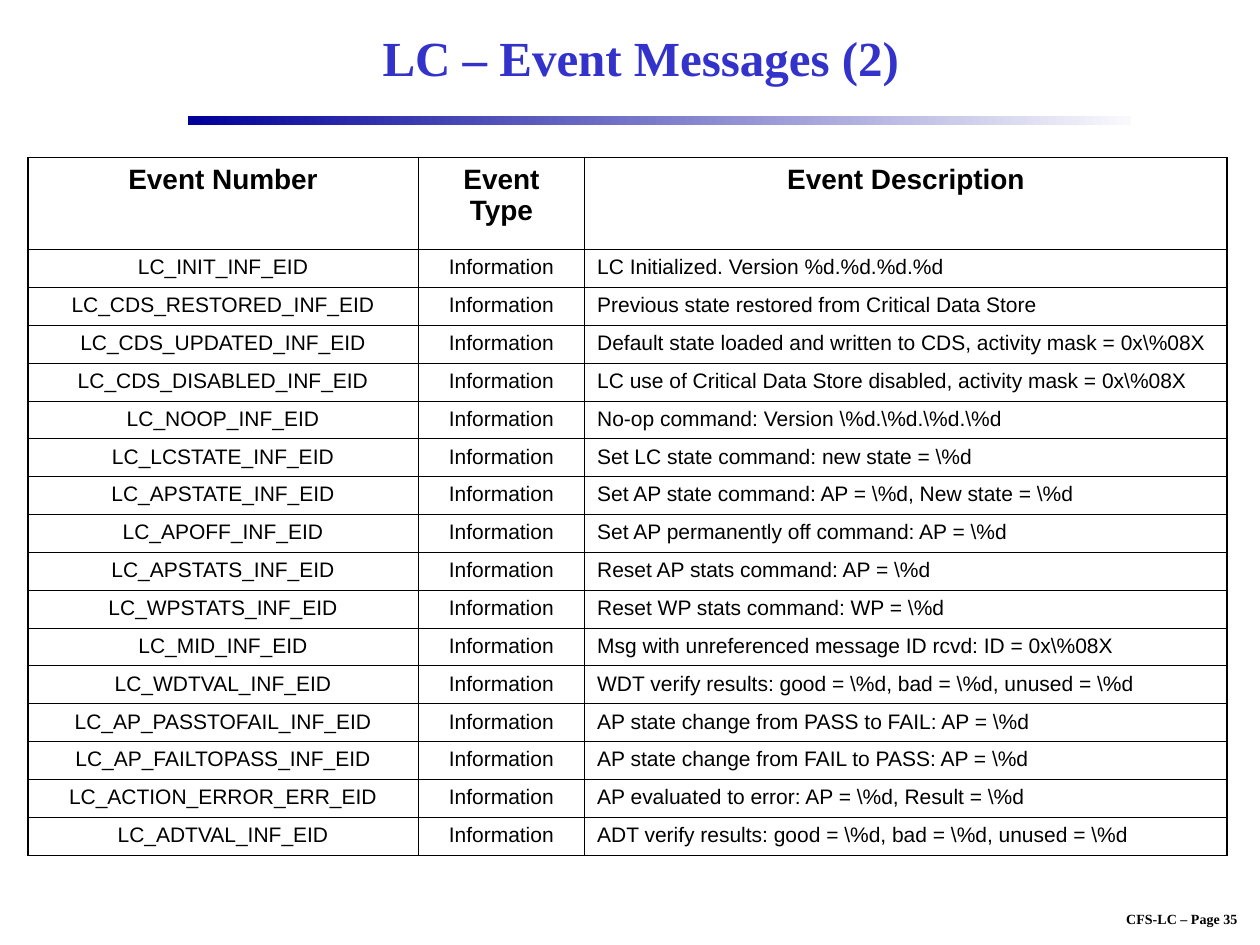
from lxml.etree import SubElement
from pptx import Presentation
from pptx.dml.color import RGBColor
from pptx.enum.shapes import MSO_SHAPE as Shape
from pptx.enum.text import MSO_ANCHOR as Anchor, PP_ALIGN as Align
from pptx.oxml.ns import qn
from pptx.util import Inches, Pt

COLORS = {"title": "3333CC", "text": "000000", "border": "000000",
          "rule_start": "000099", "rule_end": "F9F9FD"}
SERIF, SANS = "Times New Roman", "Arial"
THIN, THICK = 0.45, 1.08  # border widths in points

COLUMN_WIDTHS = [3.1, 1.32, 5.1]
HEADER_HEIGHT, ROW_HEIGHT = 0.73, 0.3
HEADERS = ["Event Number", "Event Type", "Event Description"]
EVENT_TYPE = "Information"
EVENTS = [
    ("LC_INIT_INF_EID", "LC Initialized. Version %d.%d.%d.%d"),
    ("LC_CDS_RESTORED_INF_EID", "Previous state restored from Critical Data Store"),
    ("LC_CDS_UPDATED_INF_EID",
     r"Default state loaded and written to CDS, activity mask = 0x\%08X"),
    ("LC_CDS_DISABLED_INF_EID",
     r"LC use of Critical Data Store disabled, activity mask = 0x\%08X"),
    ("LC_NOOP_INF_EID", r"No-op command: Version \%d.\%d.\%d.\%d"),
    ("LC_LCSTATE_INF_EID", r"Set LC state command: new state = \%d"),
    ("LC_APSTATE_INF_EID", r"Set AP state command: AP = \%d, New state = \%d"),
    ("LC_APOFF_INF_EID", r"Set AP permanently off command: AP = \%d"),
    ("LC_APSTATS_INF_EID", r"Reset AP stats command: AP = \%d"),
    ("LC_WPSTATS_INF_EID", r"Reset WP stats command: WP = \%d"),
    ("LC_MID_INF_EID", r"Msg with unreferenced message ID rcvd: ID = 0x\%08X"),
    ("LC_WDTVAL_INF_EID",
     r"WDT verify results: good = \%d, bad = \%d, unused = \%d"),
    ("LC_AP_PASSTOFAIL_INF_EID", r"AP state change from PASS to FAIL: AP = \%d"),
    ("LC_AP_FAILTOPASS_INF_EID", r"AP state change from FAIL to PASS: AP = \%d"),
    ("LC_ACTION_ERROR_ERR_EID", r"AP evaluated to error: AP = \%d, Result = \%d"),
    ("LC_ADTVAL_INF_EID",
     r"ADT verify results: good = \%d, bad = \%d, unused = \%d"),
]


def rgb(name):
    return RGBColor.from_string(COLORS[name])


def write(tf, text, font=SANS, size=12, bold=False, color="text",
          align=Align.CENTER, anchor=None, wrap=True):
    tf.word_wrap = wrap
    if anchor is not None:
        tf.vertical_anchor = anchor
    p = tf.paragraphs[0]
    p.alignment = align
    r = p.add_run()
    r.text = text
    r.font.name, r.font.size, r.font.bold = font, Pt(size), bold
    r.font.color.rgb = rgb(color)


def set_borders(cell, **widths):
    tc_pr = cell._tc.get_or_add_tcPr()
    for side in "LRTB":
        ln = SubElement(tc_pr, qn(f"a:ln{side}"), w=str(Pt(widths.get(side, THIN))))
        fill = SubElement(ln, qn("a:solidFill"))
        SubElement(fill, qn("a:srgbClr"), val=COLORS["border"])


def add_title(s, box, text):
    sp = s.shapes.title
    sp.left, sp.top, sp.width, sp.height = map(Inches, box)
    write(sp.text_frame, text, font=SERIF, size=28, bold=True, color="title",
          anchor=Anchor.MIDDLE)


def add_rule(s, box):
    sp = s.shapes.add_shape(Shape.RECTANGLE, *map(Inches, box))
    sp.shadow.inherit = False
    sp.line.fill.background()
    sp.fill.gradient()
    sp.fill.gradient_angle = 0
    for stop, name in zip(sp.fill.gradient_stops, ("rule_start", "rule_end")):
        stop.color.rgb = rgb(name)


def add_events(s, left, top):
    rows = [HEADERS] + [(number, EVENT_TYPE, text) for number, text in EVENTS]
    heights = [HEADER_HEIGHT] + [ROW_HEIGHT] * len(EVENTS)
    box = (left, top, sum(COLUMN_WIDTHS), sum(heights))
    table = s.shapes.add_table(len(rows), len(HEADERS), *map(Inches, box)).table
    table.first_row = table.horz_banding = False
    for column, width in zip(table.columns, COLUMN_WIDTHS):
        column.width = Inches(width)

    last = len(HEADERS) - 1
    for i, (values, height) in enumerate(zip(rows, heights)):
        table.rows[i].height = Inches(height)
        header = i == 0
        for j, value in enumerate(values):
            cell = table.cell(i, j)
            # Thick outer edges at the left, right and top
            set_borders(cell, L=THIN if j else THICK,
                        R=THICK if j == last else THIN,
                        T=THICK if header else THIN)
            cell.fill.background()
            write(cell.text_frame, value, size=16 if header else 12, bold=header,
                  align=Align.LEFT if j == last and not header else Align.CENTER)


def add_footer(s, box, text):
    sp = s.shapes.add_textbox(*map(Inches, box))
    write(sp.text_frame, text, font=SERIF, size=8, bold=True, wrap=False)


def main():
    prs = Presentation()
    prs.slide_width, prs.slide_height = Inches(10), Inches(7.5)
    s = prs.slides.add_slide(prs.slide_layouts[5])
    add_footer(s, (8.64, 7.18, 1.48, 0.23), "CFS-LC – Page 35")
    add_rule(s, (1.49, 0.92, 7.49, 0.07))
    add_title(s, (1.5, 0.08, 7.17, 0.75), "LC – Event Messages (2)")
    add_events(s, 0.22, 1.25)
    prs.save("out.pptx")


if __name__ == "__main__":
    main()
